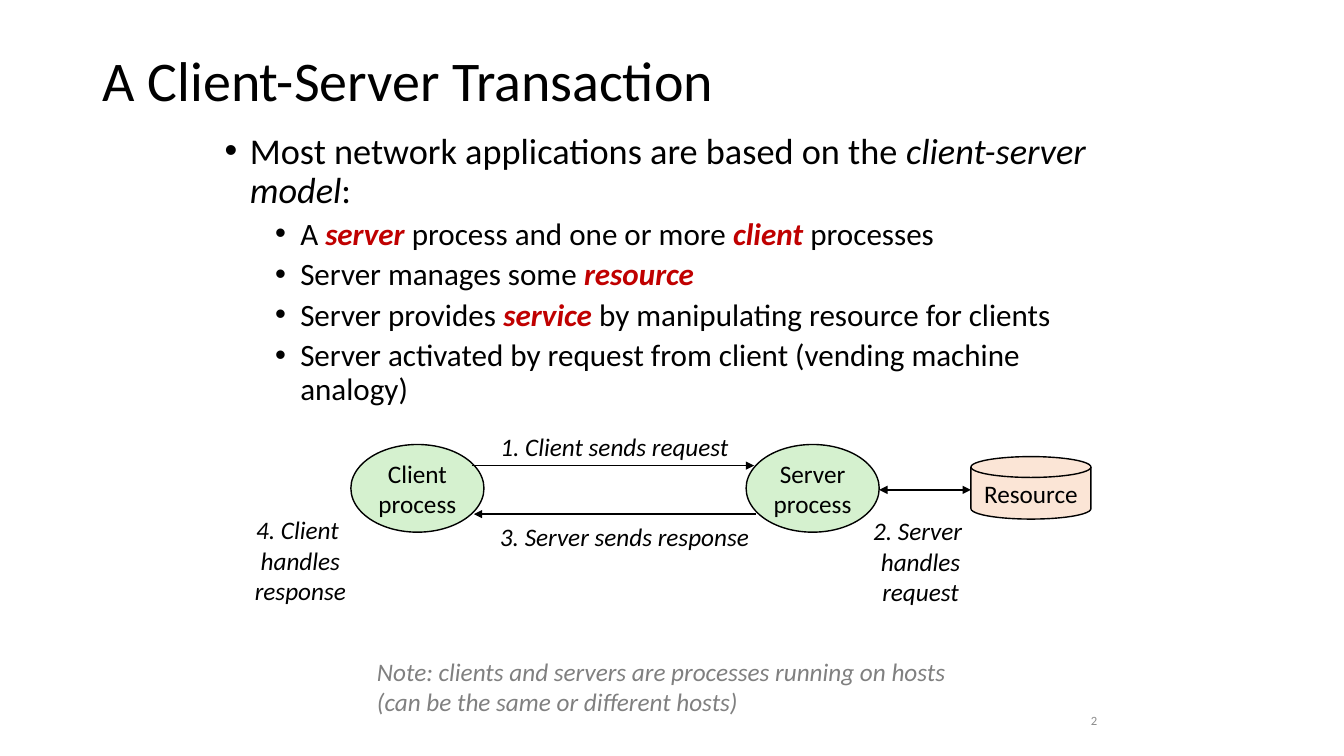
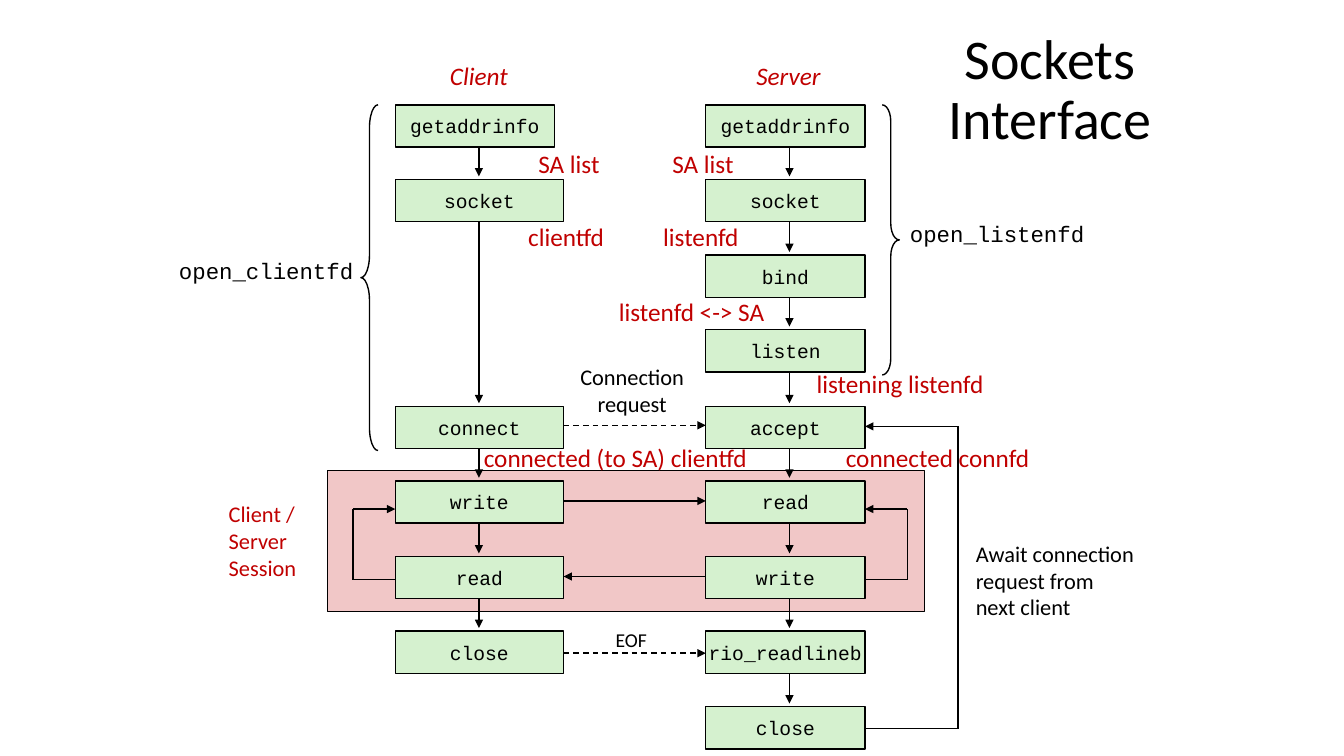
from lxml import etree
from pptx import Presentation
from pptx.dml.color import RGBColor
from pptx.enum import dml, shapes, text
from pptx.oxml.ns import qn
from pptx.util import Emu, Pt

# Shared look
PX = 9144  # 100 px to the inch
BLACK = RGBColor(0x00, 0x00, 0x00)
RED = RGBColor(0xC0, 0x00, 0x00)
GREEN = RGBColor(0xD5, 0xF1, 0xCF)
PEACH = RGBColor(0xFB, 0xE5, 0xD6)
PINK = RGBColor(0xF1, 0xC7, 0xC7)
GRAY = RGBColor(0x80, 0x80, 0x80)
LIGHT_GRAY = RGBColor(0x8C, 0x8C, 0x8C)
SANS, MONO = "Calibri", "Courier New"
LEFT, CENTER, RIGHT = text.PP_ALIGN.LEFT, text.PP_ALIGN.CENTER, text.PP_ALIGN.RIGHT
TOP, MIDDLE = text.MSO_ANCHOR.TOP, text.MSO_ANCHOR.MIDDLE
SHAPE = shapes.MSO_SHAPE


def px(*lengths):
    return [Emu(round(n * PX)) for n in lengths]


# Text
def add_run(p, words, size, color=BLACK, font=SANS, bold=False, italic=False):
    r = p.add_run()
    r.text = words
    f = r.font
    f.size, f.name, f.bold, f.italic = Pt(size), font, bold, italic
    f.color.rgb = color


def fill_text(tf, lines, size, align=CENTER, anchor=MIDDLE, wrap=False, spacing=None, **style):
    tf.word_wrap = wrap
    tf.vertical_anchor = anchor
    for i, line in enumerate(lines.split("\n")):
        p = tf.paragraphs[0] if i == 0 else tf.add_paragraph()
        p.alignment = align
        if spacing:
            p.line_spacing = spacing
        add_run(p, line, size, **style)


def label(s, box, lines, size=18, **style):
    sp = s.shapes.add_textbox(*px(*box))
    fill_text(sp.text_frame, lines, size, **style)


def title(s, box, words, align=LEFT):
    label(s, box, words, 40, align=align, wrap=True, spacing=0.9)


def bullets(s, box, items):
    """Each item is (level, runs); each run is (words, style)."""
    tf = s.shapes.add_textbox(*px(*box)).text_frame
    tf.word_wrap = True
    for i, (level, runs) in enumerate(items):
        p = tf.add_paragraph() if i else tf.paragraphs[0]
        pPr = p._p.get_or_add_pPr()
        margin, hang = px(25 + 50 * level, -25)
        pPr.set("marL", str(margin))
        pPr.set("indent", str(hang))
        etree.SubElement(pPr, qn("a:buFont")).set("typeface", "Arial")
        etree.SubElement(pPr, qn("a:buChar")).set("char", "•")
        p.line_spacing = 0.9
        if i:
            p.space_before = Pt(5)
        for words, style in runs:
            add_run(p, words, 22.2 if level else 25.9, **style)


# Shapes and lines
def shape(s, kind, box, fill=None, lines="", size=18, font=SANS):
    sp = s.shapes.add_shape(kind, *px(*box))
    sp.shadow.inherit = False
    if fill is None:
        sp.fill.background()
    else:
        sp.fill.solid()
        sp.fill.fore_color.rgb = fill
    sp.line.color.rgb = BLACK
    sp.line.width = Pt(1)
    if lines:
        fill_text(sp.text_frame, lines, size, font=font)
    return sp


def line(s, start, end, ends=("tail",), dashed=False):
    c = s.shapes.add_connector(shapes.MSO_CONNECTOR.STRAIGHT, *px(*start, *end))
    c.line.color.rgb = BLACK
    c.line.width = Pt(1)
    if dashed:
        c.line.dash_style = dml.MSO_LINE.DASH
    spPr = c._element.spPr
    ln = spPr.find(qn("a:ln"))
    for name in ends:
        etree.SubElement(ln, qn(f"a:{name}End")).set("type", "triangle")
    etree.SubElement(spPr, qn("a:effectLst"))


def route(s, points):
    last = len(points) - 2
    for i, (start, end) in enumerate(zip(points, points[1:])):
        line(s, start, end, ("tail",) if i == last else ())


def loop_back(s, x, reach, y_from, y_to):
    route(s, [(x, y_from), (x + reach, y_from), (x + reach, y_to), (x, y_to)])


# Slide 1: processes exchanging messages
def transaction_diagram(s, x, y):
    w, h, server, resource = 132, 87, x + 392, x + 615
    for left, name in ((x, "Client"), (server, "Server")):
        shape(s, SHAPE.OVAL, (left, y, w, h), GREEN, name + "\nprocess")
    shape(s, SHAPE.FLOWCHART_MAGNETIC_DISK, (resource, y + 12, 119, 62), PEACH, "Resource")
    line(s, (x + 120, y + 21), (x + 400, y + 21))
    line(s, (x + 402, y + 69), (x + 122, y + 69))
    line(s, (server + w, y + 45), (resource, y + 45), ("head", "tail"))
    for dx, dy, lw, lh, words in (
        (134, -18, 255, 40, "1. Client sends request"),
        (133, 71, 277, 40, "3. Server sends response"),
        (-107, 64, 114, 101, "4. Client \nhandles\nresponse"),
        (506, 65, 118, 101, "2. Server \nhandles\nrequest"),
    ):
        label(s, (x + dx, y + dy, lw, lh), words, italic=True)


def transaction_slide(prs):
    s = prs.slides.add_slide(prs.slide_layouts[6])
    title(s, (92, 10, 1150, 145), "A Client-Server Transaction")
    plain, slant = {}, {"italic": True}
    key = {"color": RED, "bold": True, "italic": True}
    bullets(s, (213, 127, 884, 286), [
        (0, [("Most network applications are based on the ", plain),
             ("client-server model", slant), (":", plain)]),
        (1, [("A ", plain), ("server", key), (" process and one or more ", plain),
             ("client ", key), ("processes", plain)]),
        (1, [("Server manages some ", plain), ("resource", key)]),
        (1, [("Server provides ", plain), ("service", key),
             (" by manipulating resource for clients", plain)]),
        (1, [("Server activated by request from client (vending machine analogy)", plain)]),
    ])
    transaction_diagram(s, 348, 441)
    label(s, (364, 646, 611, 71),
          "Note: clients and servers are processes running on hosts\n"
          "(can be the same or different hosts)",
          align=LEFT, anchor=TOP, color=GRAY, italic=True)
    label(s, (873, 695, 225, 40), "2", 9, align=RIGHT, wrap=True, color=LIGHT_GRAY)


# Slide 2: two columns of calls
BOX_H, PITCH = 42, 74.4
CLIENT_X, CLIENT_W, SERVER_X, SERVER_W = 392, 167, 700, 158
ROWS = [104 + round(PITCH * i) for i in range(4)] + [403 + round(PITCH * i) for i in range(5)]
ACCEPT, FIRST, SECOND, END, LAST = ROWS[4:]
CLIENT_CALLS = ["getaddrinfo", "socket", None, None, "connect", "write", "read", "close"]
SERVER_CALLS = ["getaddrinfo", "socket", "bind", "listen", "accept", "read", "write",
                "rio_readlineb", "close"]


def call_column(s, x, w, calls, first_w):
    steps = [(y, name) for y, name in zip(ROWS, calls) if name]
    for (y, _), (below, _) in zip(steps, steps[1:]):
        line(s, (x + 83, y + 37), (x + 83, below - 3))
    for i, (y, name) in enumerate(steps):
        shape(s, SHAPE.RECTANGLE, (x, y, w if i else first_w, BOX_H), GREEN, name, 14, MONO)


def session(s, x, y):
    shape(s, SHAPE.RECTANGLE, (x, y, 592, 140), PINK)
    label(s, (x - 108, y + 24, 92, 91), "Client / Server\nSession", 16,
          align=LEFT, wrap=True, color=RED)
    for edge, reach in ((CLIENT_X, -42), (SERVER_X + SERVER_W, 42)):
        loop_back(s, edge, reach, y + 108, y + 38)


def messages(s, left, right):
    line(s, (left, ACCEPT + 19), (right, ACCEPT + 19), dashed=True)
    line(s, (left, FIRST + 20), (right, FIRST + 20))
    line(s, (right, SECOND + 20), (left, SECOND + 20))
    line(s, (left, END + 22), (right, END + 22), dashed=True)
    label(s, (left + 5, ACCEPT - 48, 126, 64), "Connection\nrequest", 16)
    label(s, (left + 41, END - 8, 52, 34), "EOF", 14)


def brace(s, kind, x, h, adj, name, name_x, name_y):
    sp = shape(s, kind, (x, ROWS[0], 17, h))
    sp.adjustments[0], sp.adjustments[1] = adj, 0.5
    label(s, (name_x, name_y, 194, 37), name, 16, wrap=True, font=MONO)


def sockets_slide(prs):
    s = prs.slides.add_slide(prs.slide_layouts[6])
    session(s, 325, 467)
    title(s, (925, 25, 233, 131), "Sockets Interface", CENTER)

    # Columns and the messages between them
    call_column(s, CLIENT_X, CLIENT_W, CLIENT_CALLS, SERVER_W)
    call_column(s, SERVER_X, SERVER_W, SERVER_CALLS, SERVER_W)
    messages(s, CLIENT_X + CLIENT_W, SERVER_X)
    for x, w, name in ((436, 78, "Client"), (740, 84, "Server")):
        label(s, (x, 55, w, 40), name, color=RED, italic=True)

    # Return to accept
    loop_back(s, SERVER_X + SERVER_W, 92, LAST + 22, ACCEPT + 20)
    label(s, (958, 530, 183, 91), "Await connection\nrequest from\nnext client", 16,
          align=LEFT, wrap=True)

    # Wrapper functions
    brace(s, SHAPE.RIGHT_BRACE, 875, 268, 0.96, "open_listenfd", 892, 213)
    brace(s, SHAPE.LEFT_BRACE, 358, 343, 1.33, "open_clientfd", 167, 250)

    # State after each call
    for x, y, w, words in (
        (524, 142, 81, "SA list"), (657, 142, 87, "SA list"),
        (514, 215, 99, "clientfd"), (648, 215, 96, "listenfd"),
        (604, 289, 166, "listenfd <-> SA"), (800, 361, 192, "listening listenfd"),
        (470, 434, 291, "connected (to SA) clientfd"), (829, 434, 205, "connected connfd"),
    ):
        label(s, (x, y, w, 40), words, align=LEFT, anchor=TOP, color=RED)


def main():
    prs = Presentation()
    prs.slide_width, prs.slide_height = px(1333, 750)
    transaction_slide(prs)
    sockets_slide(prs)
    prs.save("out.pptx")


if __name__ == "__main__":
    main()
